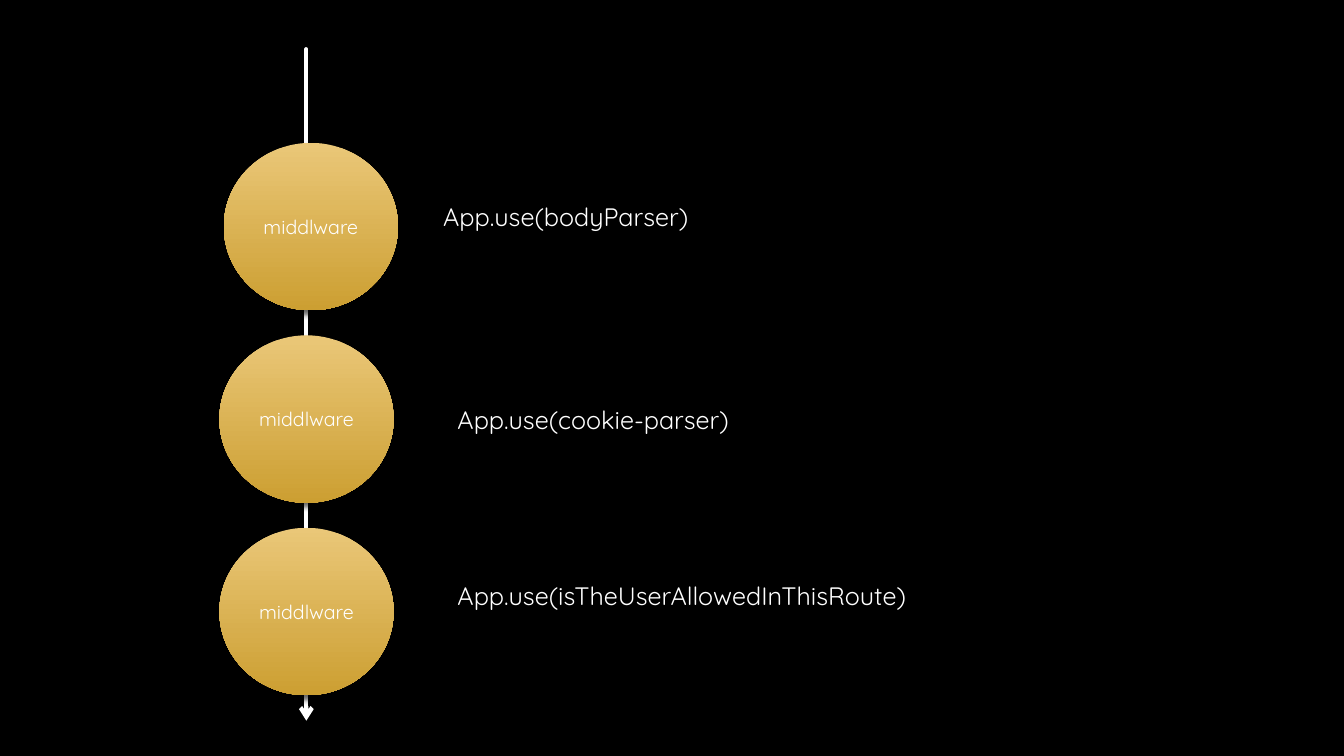
from lxml import etree
from pptx import Presentation
from pptx.dml.color import RGBColor
from pptx.enum.shapes import MSO_CONNECTOR as Link, MSO_SHAPE as Form
from pptx.enum.text import MSO_ANCHOR as Anchor, MSO_AUTO_SIZE as Fit, PP_ALIGN as Align
from pptx.oxml import parse_xml
from pptx.oxml.ns import nsdecls, qn
from pptx.util import Cm, Pt

WHITE = "FFFFFF"
GOLD = ("EAC778", "CC9F32")


def color(code):
    return RGBColor.from_string(code)


def write(shape, text, size):
    run = shape.text_frame.paragraphs[0].add_run()
    run.text = text
    run.font.name = "Quicksand"
    run.font.size = Pt(size)
    run.font.color.rgb = color(WHITE)


deck = Presentation()
deck.slide_width, deck.slide_height = Cm(33.87), Cm(19.05)
slide = deck.slides.add_slide(deck.slide_layouts[6])
slide.background.fill.solid()
slide.background.fill.fore_color.rgb = color("000000")

# Request flow, top to bottom
flow = slide.shapes.add_connector(Link.STRAIGHT, Cm(7.72), Cm(1.24), Cm(7.72), Cm(18.16))
flow.line.color.rgb = color(WHITE)
flow.line.width = Pt(3)
stroke = flow.line._get_or_add_ln()
stroke.set("cap", "rnd")
etree.SubElement(stroke, qn("a:tailEnd")).set("type", "arrow")
etree.SubElement(flow._element.spPr, qn("a:effectLst"))

# Middleware steps, evenly spaced along the flow
for step, left in enumerate((5.64, 5.53, 5.53)):
    disc = slide.shapes.add_shape(
        Form.OVAL, Cm(left), Cm(3.6 + 4.85 * step), Cm(4.39), Cm(4.22))
    disc.fill.gradient()
    disc.fill.gradient_angle = 270
    for stop, code in zip(disc.fill.gradient_stops, GOLD):
        stop.color.rgb = color(code)
    disc.line.fill.background()
    disc.shadow.inherit = False
    disc._element.spPr.find(qn("a:effectLst")).append(parse_xml(
        f'<a:outerShdw {nsdecls("a")} blurRad="{Pt(4)}" dist="{Pt(3)}" dir="5400000">'
        '<a:srgbClr val="000000"><a:alpha val="60000"/></a:srgbClr></a:outerShdw>'))
    disc.text_frame.vertical_anchor = Anchor.MIDDLE
    disc.text_frame.paragraphs[0].alignment = Align.CENTER
    write(disc, "middlware", 14)

calls = (
    ("App.use(bodyParser)", 10.92, 4.95, 8.76),
    ("App.use(cookie-parser)", 11.28, 10.06, 8.76),
    ("App.use(isTheUserAllowedInThisRoute)", 11.28, 14.5, 13.56),
)
for text, left, top, width in calls:
    box = slide.shapes.add_textbox(Cm(left), Cm(top), Cm(width), Cm(1.02))
    box.text_frame.word_wrap = True
    box.text_frame.auto_size = Fit.SHAPE_TO_FIT_TEXT
    write(box, text, 18)

deck.save("out.pptx")
